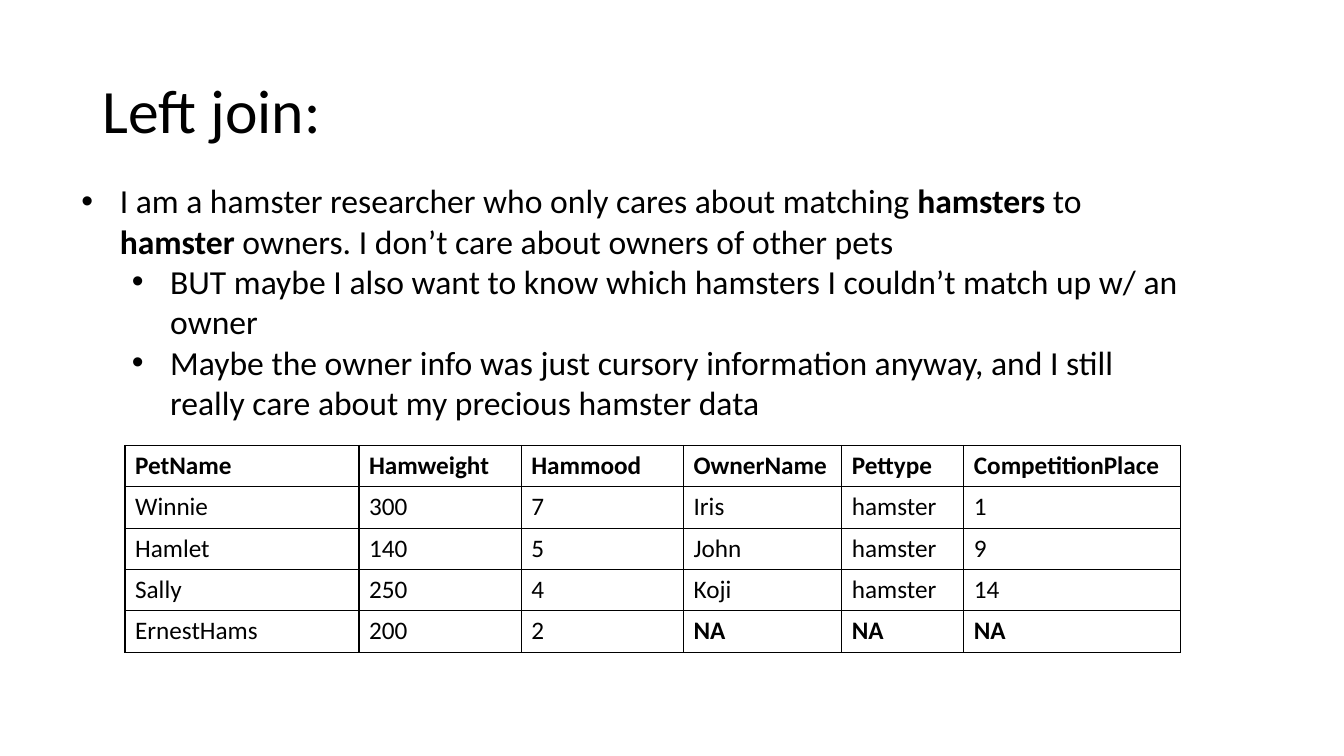
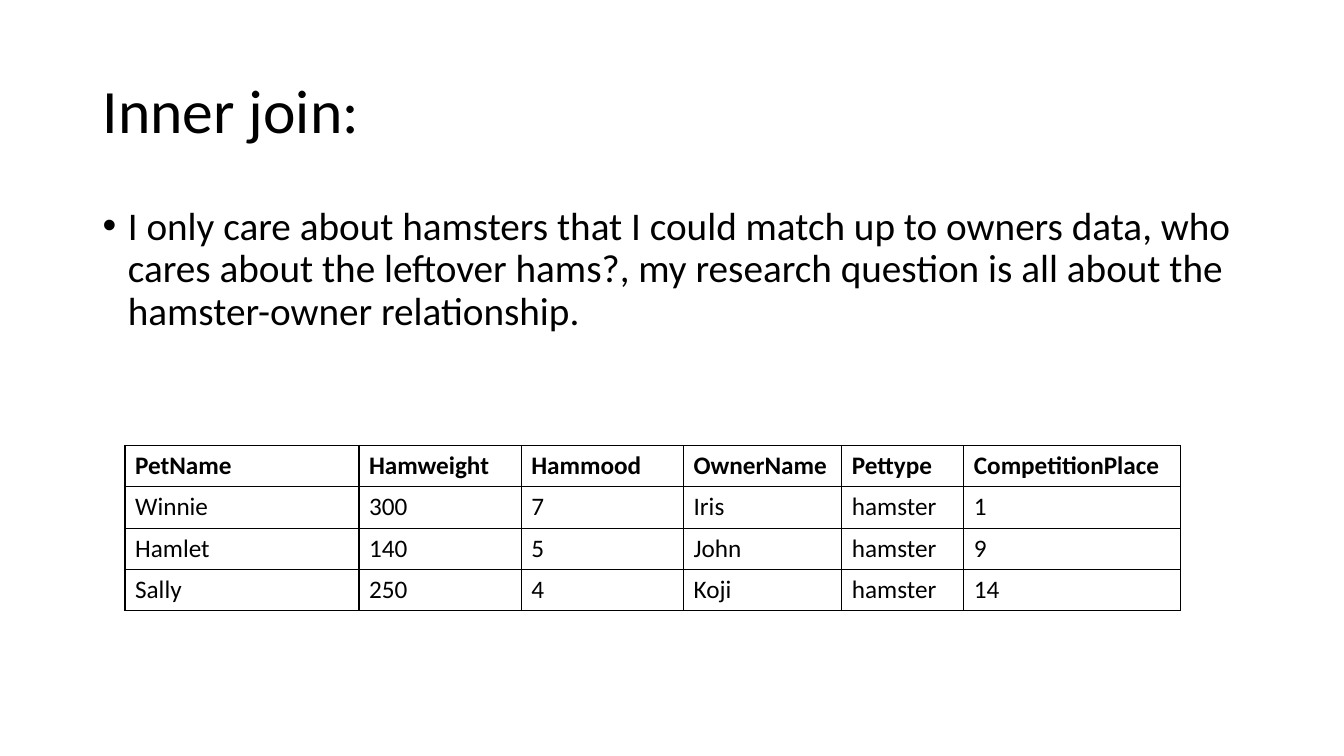
from dataclasses import dataclass

from lxml.etree import SubElement
from pptx import Presentation
from pptx.dml.color import RGBColor
from pptx.enum.text import MSO_ANCHOR
from pptx.oxml.ns import qn
from pptx.util import Inches, Pt


@dataclass(frozen=True)
class Theme:
    font: str = "Calibri"
    ink: str = "000000"
    paper: str = "FFFFFF"
    title_size: int = 44
    table_size: int = 18
    border: float = 1


theme = Theme()


def add_run(paragraph, text, size, bold=False):
    run = paragraph.add_run()
    run.text = text
    run.font.name = theme.font
    run.font.size = Pt(size)
    run.font.bold = bold
    run.font.color.rgb = RGBColor.from_string(theme.ink)


def add_text_frame(slide, left, top, width, height):
    frame = slide.shapes.add_textbox(
        Inches(left), Inches(top), Inches(width), Inches(height)).text_frame
    frame.word_wrap = True
    return frame


column_widths = [2.32, 1.61, 1.61, 1.57, 1.21, 2.15]
row_height = 0.41
header = ["PetName", "Hamweight", "Hammood", "OwnerName", "Pettype", "CompetitionPlace"]
matched = [
    ["Winnie", "300", "7", "Iris", "hamster", "1"],
    ["Hamlet", "140", "5", "John", "hamster", "9"],
    ["Sally", "250", "4", "Koji", "hamster", "14"],
]
unmatched = [["ErnestHams", "200", "2", "NA", "NA", "NA"]]

joins = [
    {
        "title": "Left join:",
        "box": (0.71, 1.74, 11.16, 2.52),
        "size": 24, "hang": 0.38, "spacing": 1, "before": 0,
        "points": [
            (0, [("I am a hamster researcher who only cares about matching ", False),
                 ("hamsters", True), (" to ", False), ("hamster", True),
                 (" owners. I don’t care about owners of other pets", False)]),
            (1, [("BUT maybe I also want to know which hamsters I couldn’t "
                  "match up w/ an owner", False)]),
            (1, [("Maybe the owner info was just cursory information anyway, and I "
                  "still really care about my precious hamster data", False)]),
        ],
        "rows": [header] + matched + unmatched,
    },
    {
        "title": "Inner join:",
        "box": (0.92, 2, 11.5, 4.76),
        "size": 28, "hang": 0.25, "spacing": 0.9, "before": 10,
        "points": [
            (0, [("I only care about hamsters that I could match up to owners data, "
                  "who cares about the leftover hams?, my research question is all "
                  "about the hamster-owner relationship.", False)]),
        ],
        "rows": [header] + matched,
    },
]

deck = Presentation()
deck.slide_width = Inches(13.33)
deck.slide_height = Inches(7.5)

for join in joins:
    slide = deck.slides.add_slide(deck.slide_layouts[6])
    slide.background.fill.solid()
    slide.background.fill.fore_color.rgb = RGBColor.from_string(theme.paper)

    title = add_text_frame(slide, 0.92, 0.4, 11.5, 1.45)
    title.vertical_anchor = MSO_ANCHOR.MIDDLE
    title.paragraphs[0].line_spacing = 0.9
    add_run(title.paragraphs[0], join["title"], theme.title_size)

    body = add_text_frame(slide, *join["box"])
    for index, (level, phrases) in enumerate(join["points"]):
        point = body.add_paragraph() if index else body.paragraphs[0]
        point.level = level
        point.line_spacing = join["spacing"]
        point.space_before = Pt(join["before"])
        properties = point._p.get_or_add_pPr()
        properties.set("marL", str(Inches(join["hang"] + 0.5 * level)))
        properties.set("indent", str(-Inches(join["hang"])))
        SubElement(properties, qn("a:buFont"), typeface="Arial")
        SubElement(properties, qn("a:buChar"), char="•")
        for phrase, bold in phrases:
            add_run(point, phrase, join["size"], bold)

    rows = join["rows"]
    pets = slide.shapes.add_table(
        len(rows), len(header), Inches(1.24), Inches(4.42),
        Inches(sum(column_widths)), Inches(row_height * len(rows))).table
    pets.horz_banding = False
    for column, width in zip(pets.columns, column_widths):
        column.width = Inches(width)
    for pet, values in zip(pets.rows, rows):
        pet.height = Inches(row_height)
        for cell, value in zip(pet.cells, values):
            add_run(cell.text_frame.paragraphs[0], value, theme.table_size,
                    values is header or value == "NA")
            cell_properties = cell._tc.get_or_add_tcPr()
            for side in ("a:lnL", "a:lnR", "a:lnT", "a:lnB"):
                edge = SubElement(cell_properties, qn(side), w=str(Pt(theme.border)))
                SubElement(SubElement(edge, qn("a:solidFill")), qn("a:srgbClr"), val=theme.ink)
            cell.fill.background()

deck.save("out.pptx")
